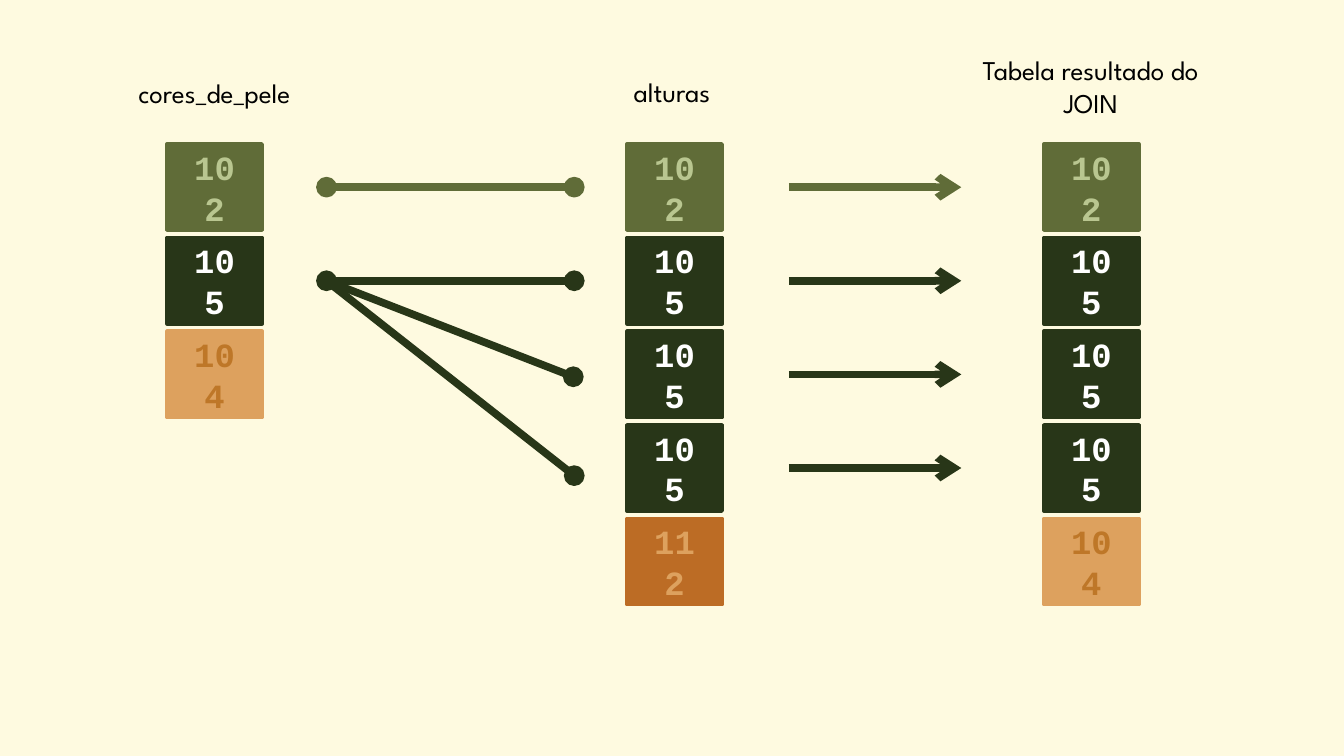
"""Build the slide that shows how a JOIN matches the rows of two tables."""
import pptx
import pptx.util
import pptx.dml.color
import pptx.enum.shapes
import pptx.enum.text
import pptx.oxml
import pptx.oxml.ns
from lxml import etree
from pptx.util import Cm, Pt

theme = {
    "page": "FEFAE0", "ink": "000000", "olive": "606C38", "forest": "283618",
    "sand": "DDA15E", "rust": "BC6C25", "sage": "B9C690", "amber": "BE7728",
    "white": "FFFFFF", "label": Pt(16), "code": Pt(20), "edge": Pt(2),
    "link": Pt(4.5), "sans": "League Spartan", "mono": "Courier New",
}
kinds = {
    "102": ("olive", "sage"), "105": ("forest", "white"),
    "104": ("sand", "amber"), "112": ("rust", "sand"),
}
tables = [
    ("cores_de_pele", 1.8, 1.47, 5.33, 3.48, ["102", "105", "104"]),
    ("alturas", 11.33, 1.45, 5.33, 13.06, ["102", "105", "105", "105", "112"]),
    ("Tabela resultado do JOIN", 19.91, 0.99, 5.61, 21.74,
     ["102", "105", "105", "105", "104"]),
]
top, pitch, width, height = 3.0, 1.95, 1.98, 1.8
shapes = pptx.enum.shapes.MSO_SHAPE
middle = pptx.enum.text.MSO_ANCHOR.MIDDLE
center = pptx.enum.text.PP_ALIGN.CENTER
rgb = pptx.dml.color.RGBColor.from_string

deck = pptx.Presentation()
deck.slide_width, deck.slide_height = Cm(27.99), Cm(15.75)
slide = deck.slides.add_slide(deck.slide_layouts[6])
slide.background.fill.solid()
slide.background.fill.fore_color.rgb = rgb(theme["page"])


def block(form, left, high, wide, tall, tint):
    """Add a filled shape with an edge of the same colour."""
    shape = slide.shapes.add_shape(form, Cm(left), Cm(high), Cm(wide), Cm(tall))
    shape.shadow.inherit = False
    shape.fill.solid()
    shape.fill.fore_color.rgb = shape.line.color.rgb = rgb(theme[tint])
    shape.line.width = theme["edge"]
    return shape


def link(start, end, tint):
    """Join two points with a thick line."""
    line = slide.shapes.add_connector(
        pptx.enum.shapes.MSO_CONNECTOR.STRAIGHT, *map(Cm, start + end))
    line.line.color.rgb = rgb(theme[tint])
    line.line.width = theme["link"]
    etree.SubElement(line._element.spPr, pptx.oxml.ns.qn("a:effectLst"))
    return line


for name, left, high, wide, column, codes in tables:
    label = slide.shapes.add_textbox(Cm(left), Cm(high), Cm(wide), Cm(0.94))
    label.text_frame.word_wrap = True
    para = label.text_frame.paragraphs[0]
    para.text, para.alignment = name, center
    para.font.name, para.font.size = theme["sans"], theme["label"]
    para.font.color.rgb = rgb(theme["ink"])
    for row, code in enumerate(codes):
        tint, ink = kinds[code]
        cell = block(shapes.RECTANGLE, column, top + row * pitch, width, height, tint)
        frame = cell.text_frame
        frame.word_wrap, frame.vertical_anchor = True, middle
        frame.margin_left = frame.margin_right = Cm(0.43)
        frame.margin_top = frame.margin_bottom = 0
        para = frame.paragraphs[0]
        para.text, para.alignment = code, center
        para.font.name, para.font.size = theme["mono"], theme["code"]
        para.font.bold, para.font.color.rgb = True, rgb(theme[ink])

rows = [top + height / 2 + row * pitch for row in range(4)]
starts = [(6.8, rows[0]), (6.8, rows[1])]
ends = [(11.96, rows[0]), (11.96, rows[1]), (11.94, 7.85), (11.96, 9.91)]
tints = ["olive", "forest", "forest", "forest"]
size = 0.36
for (across, down), tint in zip(starts + ends, tints[:2] + tints):
    block(shapes.OVAL, across - size / 2, down - size / 2, size, size, tint)
for row, (end, tint) in enumerate(zip(ends, tints)):
    link(starts[min(row, 1)], end, tint)
    arrow = link((16.43, rows[row]), (20.02, rows[row]), tint)
    etree.SubElement(arrow.line._get_or_add_ln(),
                     pptx.oxml.ns.qn("a:tailEnd"), type="arrow")

deck.save("out.pptx")
